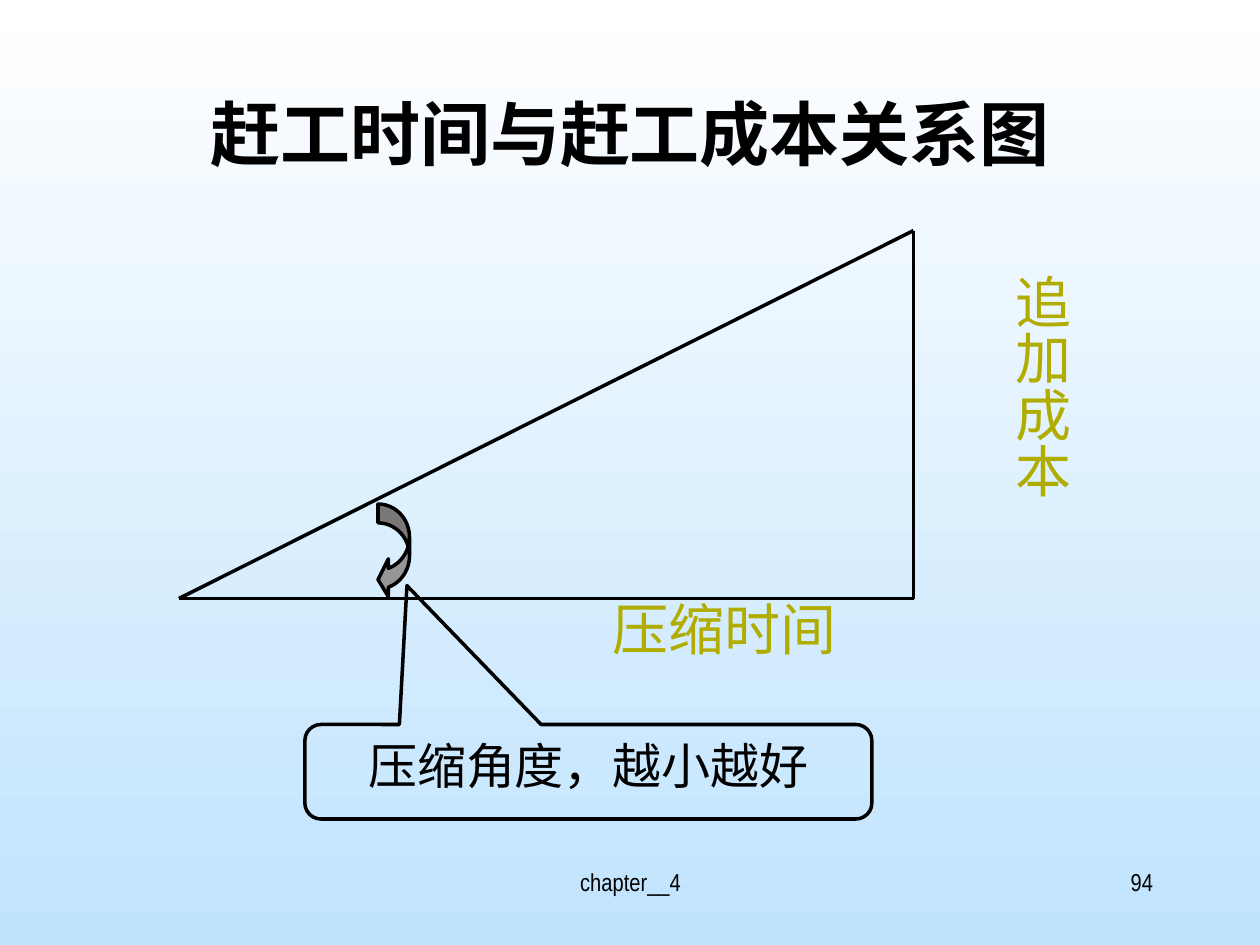
from lxml.etree import SubElement
from pptx import Presentation
from pptx.dml.color import RGBColor
from pptx.enum.shapes import MSO_CONNECTOR, MSO_SHAPE
from pptx.enum.text import MSO_ANCHOR, PP_ALIGN
from pptx.oxml.ns import qn
from pptx.util import Inches, Pt


def color(value):
    return RGBColor.from_string(value)


def write(shape, text, size, fill="000000", font="Arial Narrow", align=PP_ALIGN.CENTER, bold=False):
    frame = shape.text_frame
    frame.word_wrap = True
    frame.vertical_anchor = MSO_ANCHOR.TOP
    paragraph = frame.paragraphs[0]
    paragraph.text = text
    paragraph.alignment = align
    paragraph.font.size = Pt(size)
    paragraph.font.name = font
    paragraph.font.bold = bold
    paragraph.font.color.rgb = color(fill)


presentation = Presentation()
presentation.slide_width = Inches(10)
presentation.slide_height = Inches(7.5)
slide = presentation.slides.add_slide(presentation.slide_layouts[6])
shapes = slide.shapes

background = slide.background.fill
background.gradient()
background.gradient_angle = 270
for stop, value in zip(background.gradient_stops, ("FFFFFF", "C0E3FE")):
    stop.color.rgb = color(value)

footer = shapes.add_textbox(Inches(3.42), Inches(6.83), Inches(3.17), Inches(0.5))
write(footer, "chapter__4", 14)
number = shapes.add_textbox(Inches(7.17), Inches(6.83), Inches(2.08), Inches(0.5))
write(number, "94", 14, align=PP_ALIGN.RIGHT)
title = shapes.add_textbox(Inches(0.75), Inches(0.67), Inches(8.5), Inches(1.25))
write(title, "赶工时间与赶工成本关系图", 40, font="Noto Sans CJK SC", bold=True)

left_corner, right_corner, top_corner = (1.42, 4.75), (7.25, 4.75), (7.25, 1.83)
for start, end in (
    (left_corner, right_corner),
    (right_corner, top_corner),
    (left_corner, top_corner),
):
    side = shapes.add_connector(MSO_CONNECTOR.STRAIGHT, *map(Inches, start + end))
    side.line.color.rgb = color("000000")
    side.line.width = Pt(2)
    SubElement(side._element.spPr, qn("a:effectLst"))

arrow = shapes.add_shape(
    MSO_SHAPE.CURVED_LEFT_ARROW, Inches(3), Inches(4), Inches(0.25), Inches(0.75)
)
arrow.fill.solid()
arrow.fill.fore_color.rgb = color("969696")
for index, value in enumerate((0.6, 1.2, 0.33)):
    arrow.adjustments[index] = value

callout = shapes.add_shape(
    MSO_SHAPE.ROUNDED_RECTANGULAR_CALLOUT, Inches(2.42), Inches(5.75), Inches(4.5), Inches(0.75)
)
callout.fill.background()
for index, value in enumerate((-0.32, -1.97, 0.17)):
    callout.adjustments[index] = value
write(callout, "压缩角度，越小越好", 28)

for shape in (arrow, callout):
    shape.shadow.inherit = False
    shape.line.color.rgb = color("000000")
    shape.line.width = Pt(2)

cost = shapes.add_textbox(Inches(7.85), Inches(2.08), Inches(0.73), Inches(2.58))
write(cost, "追加成本", 32, "B0AC00")
cost_frame = cost.text_frame
cost_frame.margin_left = cost_frame.margin_right = Inches(0.05)
cost_frame.margin_top = cost_frame.margin_bottom = Inches(0.1)
cost_frame._txBody.bodyPr.set("vert", "eaVert")

time = shapes.add_textbox(Inches(4.75), Inches(4.67), Inches(2), Inches(0.64))
write(time, "压缩时间", 32, "B0AC00")

presentation.save("out.pptx")
